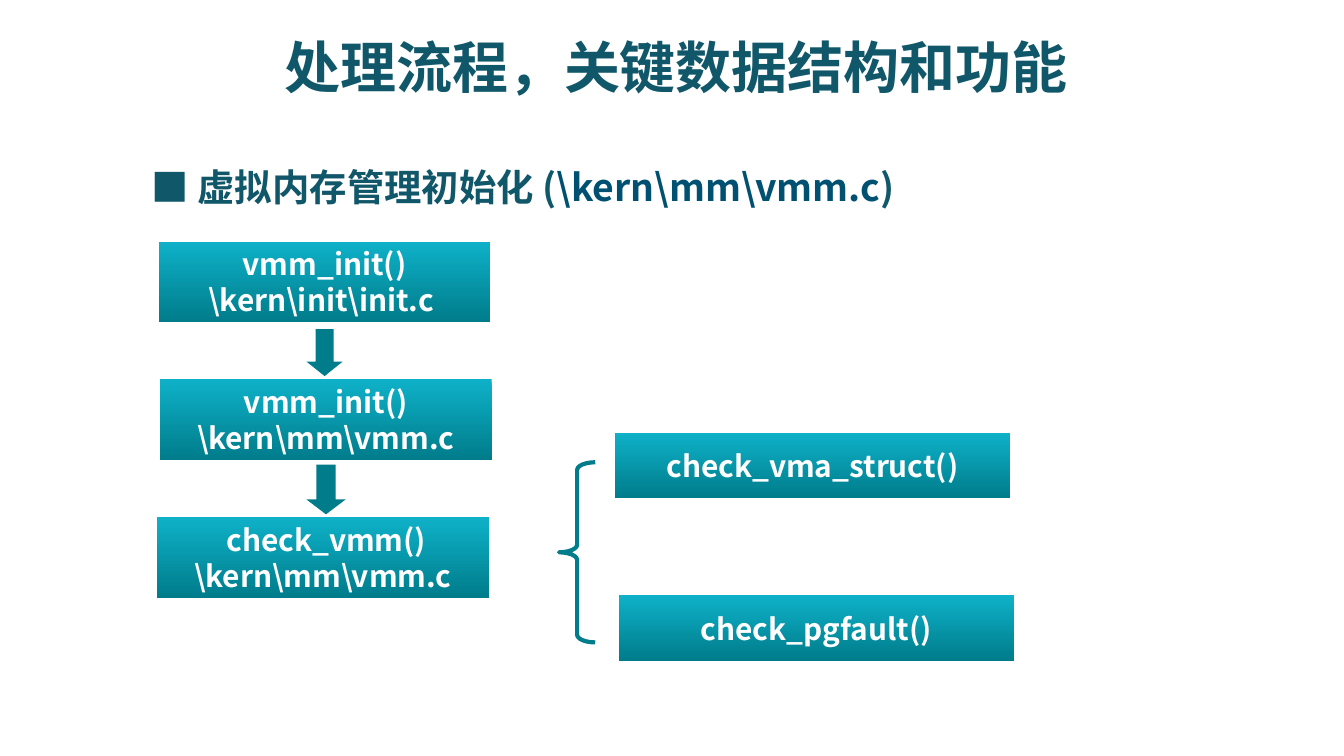
from lxml import etree
from pptx import Presentation
from pptx.dml.color import RGBColor as RGB
from pptx.enum.shapes import MSO_SHAPE as SHAPE
from pptx.enum.text import MSO_ANCHOR as ANCHOR, PP_ALIGN as ALIGN
from pptx.oxml.ns import qn
from pptx.util import Pt

COLORS = {
    "heading": "11576A",
    "path": "005072",
    "light": "0EB1C8",
    "teal": "007C8B",
    "white": "FFFFFF",
}
SANS_SC, SANS_JP = "Noto Sans CJK SC", "Noto Sans CJK JP"


def color(name):
    return RGB.from_string(COLORS[name])


def add_run(p, text, size=16, fill="white", font=SANS_SC):
    r = p.add_run()
    r.text = text
    r.font.size = Pt(size)
    r.font.bold = True
    r.font.name = font
    r.font.color.rgb = color(fill)
    etree.SubElement(r._r.get_or_add_rPr(), qn("a:ea"), typeface=font)
    p.line_spacing = Pt(1.2 * size)
    return r


def add_preset(s, kind, box, adjustments=()):
    sp = s.shapes.add_shape(kind, *map(Pt, box))
    sp.shadow.inherit = False
    for i, value in enumerate(adjustments):
        sp.adjustments[i] = value
    return sp


def add_textbox(s, box):
    tf = s.shapes.add_textbox(*map(Pt, box)).text_frame
    tf.word_wrap = True
    return tf


def add_heading(s, box):
    p = add_textbox(s, box).paragraphs[0]
    p.space_before = Pt(5)
    pPr = p._p.get_or_add_pPr()
    pPr.set("marL", str(Pt(27.36)))
    pPr.set("indent", str(-Pt(27.36)))
    add_run(p, "■ ", size=20, fill="heading", font=SANS_JP)
    add_run(p, "虚拟内存管理初始化 (", size=20, fill="heading")
    add_run(p, "\\kern\\mm\\vmm.c", size=20, fill="path")
    add_run(p, ")", size=20, fill="heading")


def add_title(s, box):
    tf = add_textbox(s, box)
    tf.vertical_anchor = ANCHOR.BOTTOM
    p = tf.paragraphs[0]
    p.alignment = ALIGN.CENTER
    add_run(p, "处理流程，关键数据结构和功能", size=30, fill="heading")


def add_function_box(s, box, lines):
    sp = add_preset(s, SHAPE.RECTANGLE, box)
    sp.line.fill.background()
    sp.fill.gradient()
    sp.fill.gradient_angle = 270
    for stop, name, position in zip(sp.fill.gradient_stops, ("light", "teal"), (0, 1)):
        stop.color.rgb = color(name)
        stop.position = position
    tf = sp.text_frame
    tf.word_wrap = False
    tf.vertical_anchor = ANCHOR.MIDDLE
    for i, line in enumerate(lines):
        p = tf.add_paragraph() if i else tf.paragraphs[0]
        p.alignment = ALIGN.CENTER
        add_run(p, line)


def add_call_chain(s, left, top, width, height):
    pitch = 73.8
    steps = [
        (0.8, ["vmm_init()", "\\kern\\init\\init.c "]),
        (1.5, ["vmm_init()", "\\kern\\mm\\vmm.c"]),
        (0, [" check_vmm()", "\\kern\\mm\\vmm.c"]),
    ]
    for i, (dx, lines) in enumerate(steps):
        add_function_box(s, (left + dx, top + i * pitch, width, height), lines)
    arrows = [(46.8, 19.4, 25.2, 0.4), (119.5, 20.9, 26.6, 0.38)]
    for dy, w, h, head in arrows:
        arrow = add_preset(s, SHAPE.DOWN_ARROW, (left + 80, top + dy, w, h), (0.5, head))
        arrow.fill.solid()
        arrow.fill.fore_color.rgb = color("teal")
        arrow.line.fill.background()


def add_check_group(s, left, top, width, height):
    brace = add_preset(s, SHAPE.LEFT_BRACE, (left, top + 15.8, 19.4, 96.5), (0.21, 0.5))
    brace.fill.background()
    brace.line.color.rgb = color("teal")
    brace.line.width = Pt(2.25)
    for dx, dy, name in [(30, 0, "check_vma_struct()"), (32, 87.1, "check_pgfault()")]:
        add_function_box(s, (left + dx, top + dy, width, height), [name])


def main():
    prs = Presentation()
    prs.slide_width, prs.slide_height = Pt(720), Pt(405)
    s = prs.slides.add_slide(prs.slide_layouts[6])
    add_heading(s, (74.2, 84.2, 612, 50.4))
    add_title(s, (49, 9.4, 626.4, 47.5))
    add_call_chain(s, 84.2, 129.5, 177.8, 43.2)
    add_check_group(s, 299.5, 231.9, 211.7, 35.1)
    prs.save("out.pptx")


if __name__ == "__main__":
    main()
